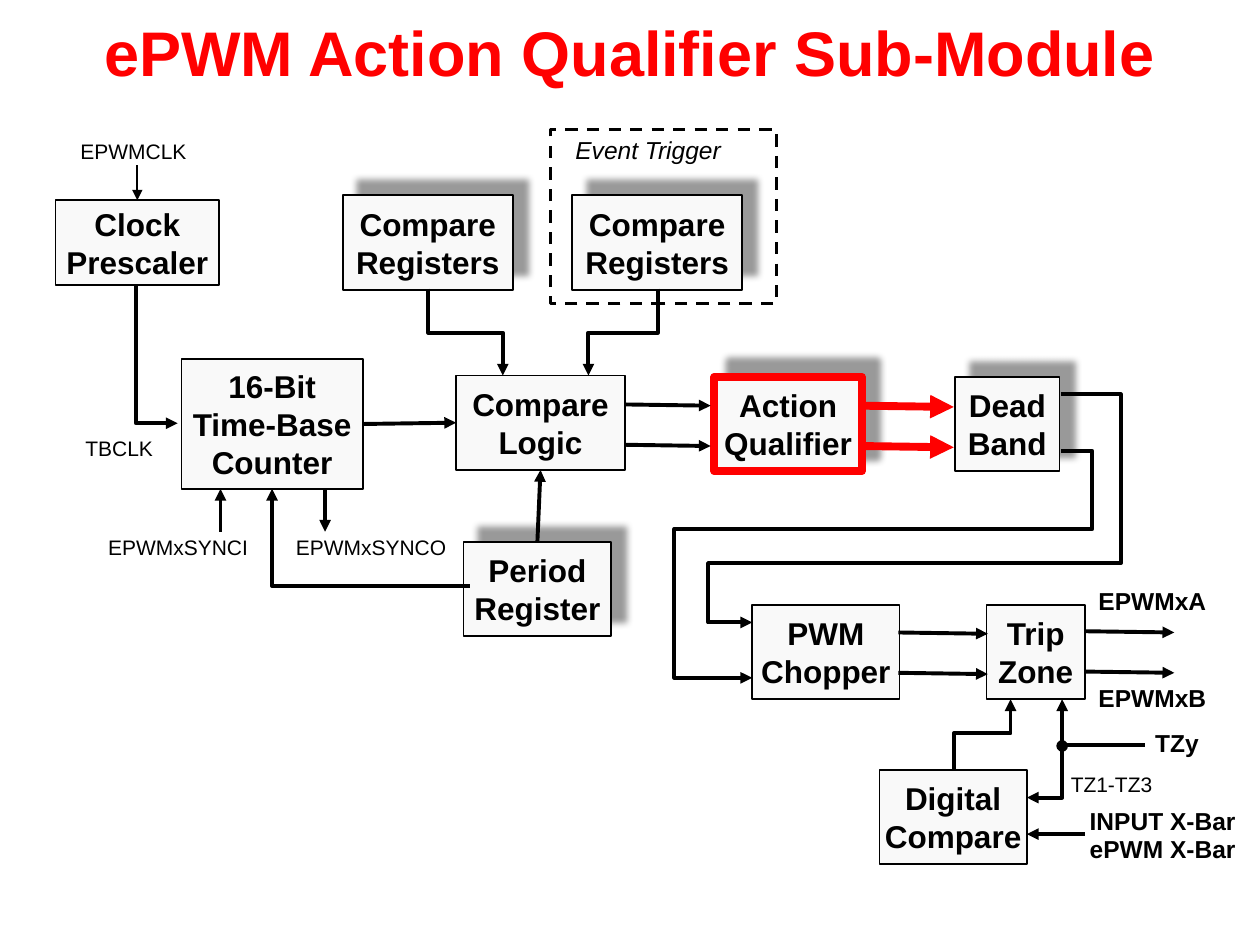
from lxml.etree import SubElement as Sub
from pptx import Presentation
from pptx.dml.color import RGBColor as RGB
from pptx.enum.dml import MSO_LINE as Dash
from pptx.enum.shapes import MSO_CONNECTOR as Link, MSO_SHAPE as Form
from pptx.enum.text import MSO_ANCHOR as Anchor, MSO_AUTO_SIZE as Fit, PP_ALIGN as Align
from pptx.oxml.ns import qn
from pptx.util import Inches, Pt

HUES = {"ink": "000000", "red": "FF0000", "box": "F9F9F9"}
FONT = "Arial"
# The slide is a grid of 100 columns and 75 rows of square cells.
CELL = Inches(0.1)


def trace(shape, hue="ink", pt=2.25, head=None, tail=None):
    """Set the outline and its arrowheads; return an empty effect list."""
    shape.line.color.rgb = RGB.from_string(HUES[hue])
    shape.line.width = Pt(pt)
    props = shape._element.spPr
    for tag, end in (("a:headEnd", head), ("a:tailEnd", tail)):
        if end:
            Sub(props.find(qn("a:ln")), qn(tag), type=end)
    return Sub(props, qn("a:effectLst"))


def write(frame, text, size, hue="ink", bold=False, italic=False, align=Align.CENTER):
    """Fill a text frame with one paragraph per line of text."""
    for i, words in enumerate(text.split("\n")):
        para = frame.add_paragraph() if i else frame.paragraphs[0]
        para.alignment = align
        run = para.add_run()
        run.text = words
        font = run.font
        font.name, font.size = FONT, Pt(size)
        font.bold, font.italic = bold, italic
        font.color.rgb = RGB.from_string(HUES[hue])


deck = Presentation()
deck.slide_width, deck.slide_height = CELL * 100, CELL * 75
slide = deck.slides.add_slide(deck.slide_layouts[5])
shapes = slide.shapes

title = shapes.title
title.left, title.top, title.width, title.height = 0, 0, CELL * 100, int(CELL * 8.1)
title.text_frame.vertical_anchor = Anchor.MIDDLE
write(title.text_frame, "ePWM Action Qualifier Sub-Module", 36, "red", bold=True)

# Event trigger frame
group = shapes.add_shape(Form.RECTANGLE, *[int(CELL * n) for n in (43.7, 10.3, 17.9, 13.8)])
group.fill.background()
trace(group, pt=1.75)
group.line.dash_style = Dash.DASH

# Blocks: key, text, left, top, width, height, shadow
blocks = [
    ("clock", "Clock\nPrescaler", 4.4, 15.9, 13, 6.7, False),
    ("count", "16-Bit\nTime-Base\nCounter", 14.4, 28.5, 14.4, 10.3, False),
    ("logic", "Compare\nLogic", 36.2, 29.8, 13.4, 7.5, False),
    ("action", "Action\nQualifier", 56.7, 29.9, 11.7, 7.5, True),
    ("dead", "Dead\nBand", 75.8, 29.9, 8.3, 7.5, True),
    ("chop", "PWM\nChopper", 59.7, 48, 11.7, 7.5, False),
    ("trip", "Trip\nZone", 78.3, 48, 7.8, 7.5, False),
    ("period", "Period\nRegister", 36.8, 43, 11.7, 7.5, True),
    ("digit", "Digital\nCompare", 69.8, 61.1, 11.7, 7.5, False),
    ("left", "Compare\nRegisters", 27.2, 15.5, 13.5, 7.5, True),
    ("right", "Compare\nRegisters", 45.4, 15.5, 13.5, 7.5, True),
]
box = {}
for key, text, *area, raised in blocks:
    box[key] = rect = shapes.add_shape(Form.RECTANGLE, *[int(CELL * n) for n in area])
    rect.fill.solid()
    rect.fill.fore_color.rgb = RGB.from_string(HUES["box"])
    main = key == "action"
    effects = trace(rect, "red" if main else "ink", 4.5 if main else 1)
    if raised:
        glow = Sub(effects, qn("a:outerShdw"), blurRad=str(Pt(4)), dist=str(Pt(12)),
                   dir=str(315 * 60000), algn="ctr", rotWithShape="0")
        Sub(Sub(glow, qn("a:srgbClr"), val=HUES["ink"]), qn("a:alpha"), val="40000")
    frame = rect.text_frame
    frame.word_wrap = False
    frame.vertical_anchor = Anchor.MIDDLE
    frame.margin_left = frame.margin_right = frame.margin_top = frame.margin_bottom = 0
    write(frame, text, 18, bold=True)

# Straight arrows: from x, y, to x, y, hue, points
arrows = [
    (86.1, 66.2, 81.5, 66.2, "ink", 2.25),
    (17.5, 42.2, 17.5, 38.8, "ink", 2.25),
    (25.8, 38.8, 25.8, 42.2, "ink", 2.25),
]
# Pairs of signals between blocks: from x, to x, top row, hue, points
pairs = [
    (49.6, 56.4, 32.1, "ink", 2.25),
    (68.3, 75.7, 32.2, "red", 4.5),
    (71.3, 78.4, 50.2, "ink", 2.25),
    (86.1, 93.2, 50.1, "ink", 2.25),
]
for x, end, y, hue, pt in pairs:
    for row in (y, y + 3.2):
        arrows.append((x, row, end, row + 0.1, hue, pt))
for *ends, hue, pt in arrows:
    line = shapes.add_connector(Link.STRAIGHT, *[int(CELL * n) for n in ends])
    trace(line, hue, pt, tail="triangle")

# Arrows joined to the middle of block sides
for start, side, stop, face in (("count", 3, "logic", 1), ("period", 0, "logic", 2)):
    line = shapes.add_connector(Link.STRAIGHT, 0, 0, 0, 0)
    line.begin_connect(box[start], side)
    line.end_connect(box[stop], face)
    trace(line, tail="triangle")
line = shapes.add_connector(Link.STRAIGHT, int(CELL * 10.9), int(CELL * 13.1), 0, 0)
line.end_connect(box["clock"], 0)
trace(line, pt=1, tail="triangle")

# Bent arrows: from x, y, to x, y, preset, bends in percent, head, tail
bends = [
    (37.3, 46.5, 21.6, 38.8, "bentConnector2", (), None, "triangle"),
    (14.1, 33.6, 10.8, 22.6, "bentConnector2", (), "triangle", None),
    (84.2, 35.8, 59.7, 53.8, "bentConnector5", (-10.2, 34.4, 125.2), None, "triangle"),
    (84.2, 31.3, 59.7, 49.4, "bentConnector5", (-19.4, 74, 114.3), None, "triangle"),
]
for *ends, preset, turns, head, tail in bends:
    line = shapes.add_connector(Link.ELBOW, *[int(CELL * n) for n in ends])
    geom = line._element.spPr.find(qn("a:prstGeom"))
    geom.set("prst", preset)
    for i, turn in enumerate(turns, 1):
        Sub(geom.find(qn("a:avLst")), qn("a:gd"), name=f"adj{i}", fmla=f"val {round(turn * 1000)}")
    trace(line, head=head, tail=tail)

# Open outlines: points, head, tail
routes = [
    ([(84.3, 59.2), (84.3, 63.3), (81.5, 63.3)], "oval", "triangle"),
    ([(75.7, 61), (75.7, 58.2), (80.2, 58.2), (80.2, 55.5)], None, "triangle"),
    ([(84.3, 55.5), (84.3, 59.1), (90.9, 59.1)], "triangle", None),
    ([(34, 22.9), (34, 26.4), (39.9, 26.4), (39.9, 29.8)], None, "triangle"),
    ([(52.2, 22.9), (52.2, 26.4), (46.7, 26.4), (46.7, 29.8)], None, "triangle"),
]
for route, head, tail in routes:
    spots = [(int(CELL * x), int(CELL * y)) for x, y in route]
    pen = shapes.build_freeform(*spots[0])
    pen.add_line_segments(spots[1:], close=False)
    path = pen.convert_to_shape()
    path.fill.background()
    trace(path, head=head, tail=tail)

# Labels: text, left, top, width, height, size, bold, italic
labels = [
    ("EPWMxA", 86.2, 46.5, 10.6, 2.9, 14, True, False),
    ("EPWMxB", 86.2, 54.2, 10.6, 2.9, 14, True, False),
    ("TZy", 90.7, 57.7, 5.5, 2.9, 14, True, False),
    ("INPUT X-Bar\nePWM X-Bar", 85.5, 63.9, 13.7, 5.2, 14, True, False),
    ("Event Trigger", 44.6, 10.2, 13.7, 3.4, 14, False, True),
    ("EPWMxSYNCI", 7.6, 42.3, 13.1, 2.6, 12, False, False),
    ("EPWMxSYNCO", 22.5, 42.3, 14, 2.6, 12, False, False),
    ("TBCLK", 5.8, 34.5, 7.4, 2.6, 12, False, False),
    ("TZ1-TZ3", 84, 61.1, 8.6, 2.6, 12, False, False),
    ("EPWMCLK", 5.4, 10.9, 10.5, 2.6, 12, False, False),
]
for text, *area, size, bold, italic in labels:
    frame = shapes.add_textbox(*[int(CELL * n) for n in area]).text_frame
    frame.word_wrap = False
    frame.auto_size = Fit.SHAPE_TO_FIT_TEXT
    write(frame, text, size, bold=bold, italic=italic,
          align=Align.CENTER if italic else Align.LEFT)
    for i, para in enumerate(frame.paragraphs):
        para.line_spacing = 1.0 if italic else 0.8
        if i:
            para.space_before = Pt(3)

deck.save("out.pptx")
